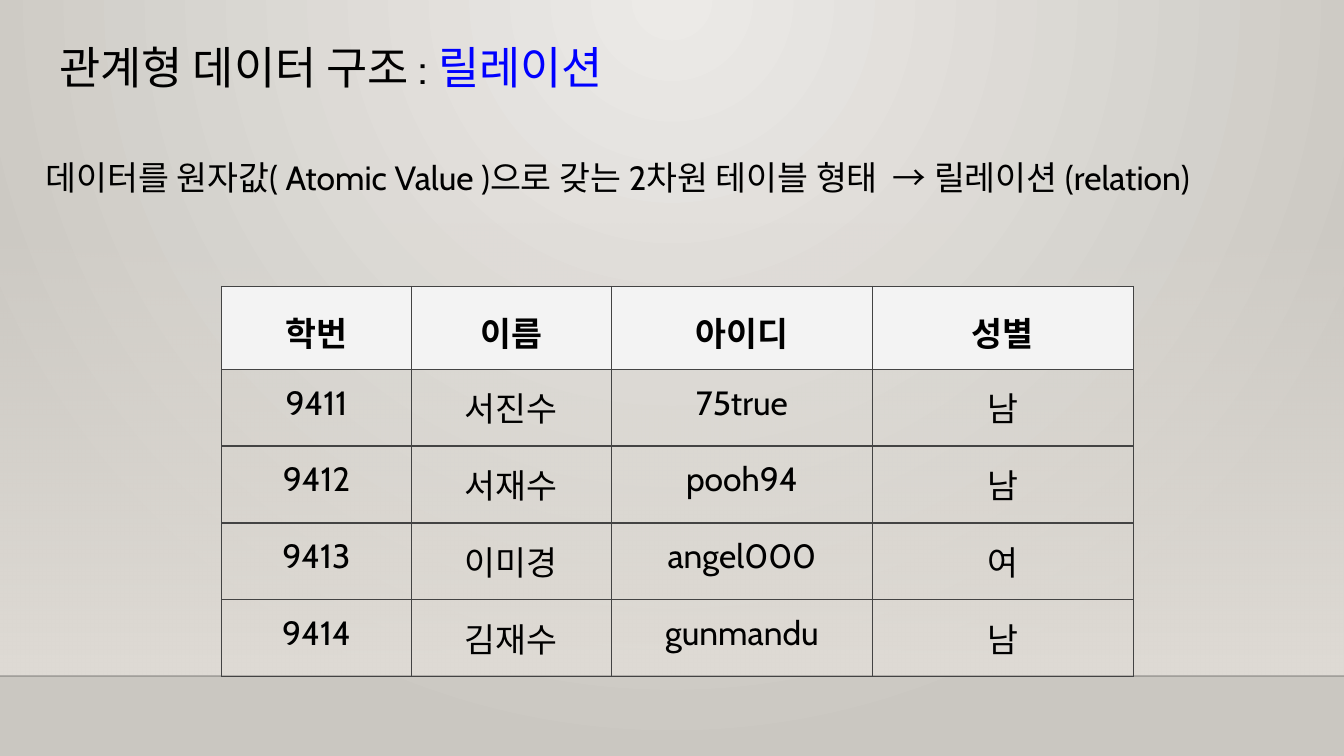
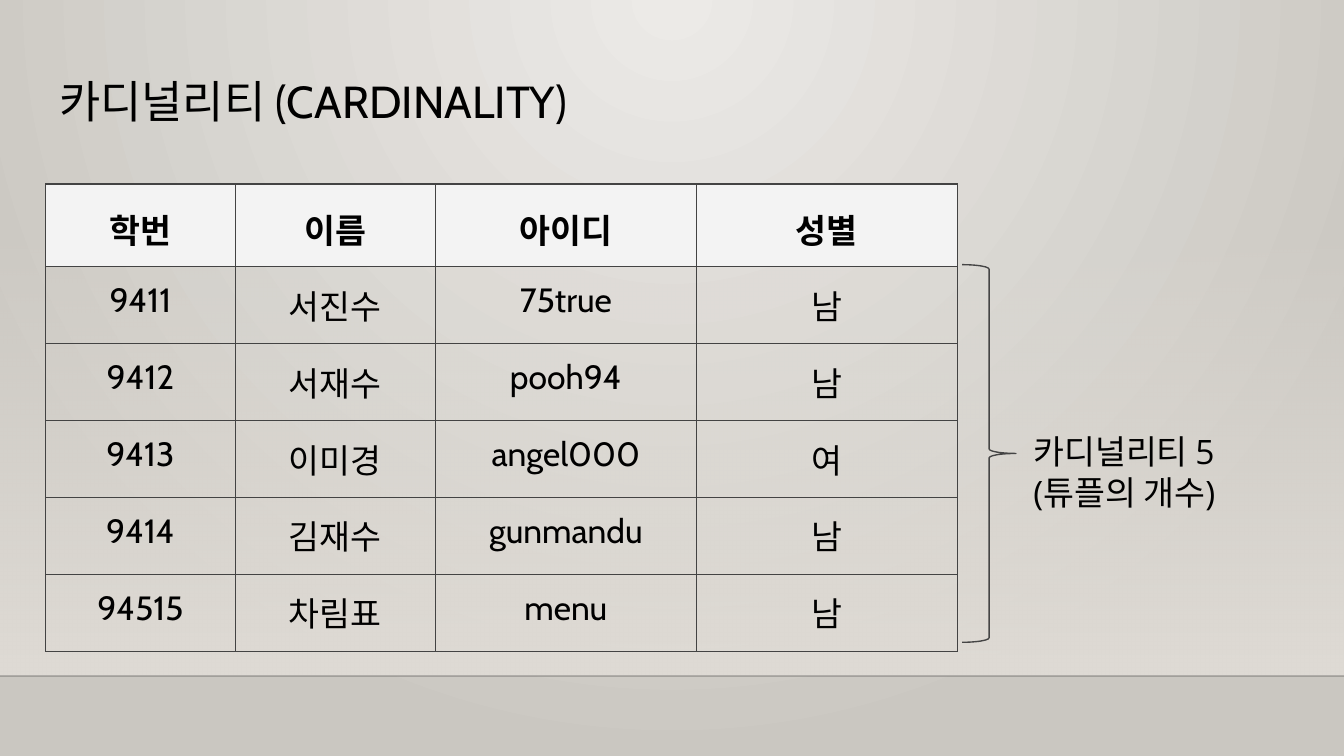
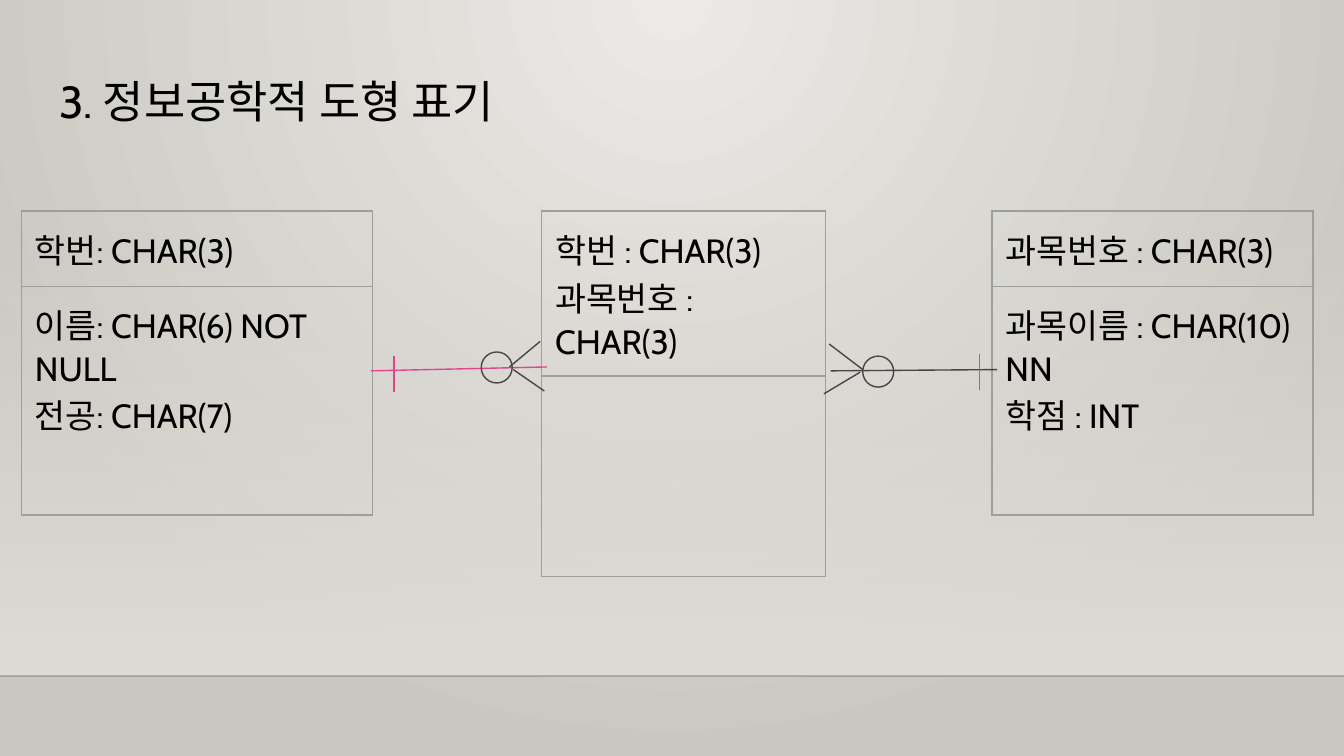
"""Build three slides on relations, cardinality and entity notation."""
from lxml import etree
from pptx import Presentation
from pptx.dml.color import RGBColor
from pptx.enum.shapes import MSO_CONNECTOR, MSO_SHAPE
from pptx.enum.text import MSO_ANCHOR, MSO_AUTO_SIZE, PP_ALIGN
from pptx.oxml.ns import qn
from pptx.util import Pt

STRAIGHT = MSO_CONNECTOR.STRAIGHT
RECTANGLE, CIRCLE, BRACE = MSO_SHAPE.RECTANGLE, MSO_SHAPE.OVAL, MSO_SHAPE.RIGHT_BRACE
TOP, NO_FIT = MSO_ANCHOR.TOP, MSO_AUTO_SIZE.NONE
LEFT, CENTER = PP_ALIGN.LEFT, PP_ALIGN.CENTER

BLACK = RGBColor(0, 0, 0)
BLUE = RGBColor(0, 0, 0xFF)
PINK = RGBColor(0xDE, 0x47, 0x8E)
DARK = RGBColor(0x45, 0x45, 0x45)
GRID = RGBColor(0x43, 0x43, 0x43)
ENTITY_EDGE = RGBColor(0x9E, 0x9E, 0x9E)
HEADER = RGBColor(0xF3, 0xF3, 0xF3)
GLOW = RGBColor(0xEC, 0xEA, 0xE7)
WALL = RGBColor(0xCA, 0xC7, 0xC1)
BAND = RGBColor(0xDF, 0xDB, 0xD5)
HORIZON = RGBColor(0, 0, 1)

BODY_FONT, NOTE_FONT = "Cabin", "Open Sans"
TITLE_SIZE, BODY_SIZE = 24, 18
INSET, THIN = 7.2, 0.75
WIDTH, HEIGHT, FLOOR = 720, 405, 362.2
TITLE_LEFT = 24.5

STUDENT_COLUMNS = (101.5, 107.3, 139.8, 139.8)
STUDENTS = [
    ("학번", "이름", "아이디", "성별"),
    ("9411", "서진수", "75true", "남"),
    ("9412", "서재수", "pooh94", "남"),
    ("9413", "이미경", "angel000", "여"),
    ("9414", "김재수", "gunmandu", "남"),
]
NEW_STUDENT = ("94515", "차림표", "menu", "남")
ENTITIES = [
    (11.5, 188, (35.3, 122.4), ["학번: CHAR(3)"],
     ["이름: CHAR(6) NOT NULL", "전공: CHAR(7)"]),
    (290.2, 152, (51.1, 107.3), ["학번 : CHAR(3)", "과목번호 : CHAR(3)"], []),
    (531.4, 172, (35.3, 122.4), ["과목번호 : CHAR(3)"],
     ["과목이름 : CHAR(10) NN", "학점 : INT"]),
]
RELATION_LINES = [
    (198.7, 198.7, 293, 196.6, PINK),
    (445, 198.7, 534.2, 198, DARK),
]
CROW_FEET = [
    (289.4, 182.9, 272.9, 196.6),
    (291.6, 209.5, 275, 198),
    (444.2, 184.3, 462.2, 198),
    (441.4, 211, 460.8, 199.4),
]
ZERO_MARKS = [(257.8, 188.6), (462.2, 190.8)]
ONE_MARKS = [(211, 190.8), (524.9, 189.4)]


class Slides:
    """Hold the shared style and the current page."""

    def __init__(self):
        self.deck = Presentation()
        self.deck.slide_width, self.deck.slide_height = Pt(WIDTH), Pt(HEIGHT)
        self.page = None

    def new_page(self, top, *spans):
        first = self.page is None
        self.page = self.deck.slides.add_slide(self.deck.slide_layouts[5])
        if first:
            self.backdrop()
        title = self.page.shapes.title
        title.left, title.top = Pt(TITLE_LEFT), Pt(top)
        title.width, title.height = Pt(671), Pt(55.4)
        self.set_text(title.text_frame, [spans], size=TITLE_SIZE, spacing=0.9)

    def backdrop(self):
        master = self.deck.slide_master
        self.gradient(master.background.fill, GLOW, WALL)
        wall = next(master._element.iter(qn("a:gradFill")))
        wall.remove(wall.find(qn("a:lin")))
        circle = etree.SubElement(wall, qn("a:path"), path="circle")
        etree.SubElement(circle, qn("a:fillToRect"),
                         l="43000", t="0", r="43000", b="100000")
        band = self.shape(RECTANGLE, 0, 119.5, WIDTH, FLOOR - 119.5)
        band.line.fill.background()
        self.gradient(band.fill, BAND, BAND)
        band.fill.gradient_angle = 270
        self.fade(next(band._element.iter(qn("a:gs"))), 0)
        horizon = self.line(0, FLOOR, WIDTH, FLOOR, HORIZON, 1)
        self.fade(horizon._element, 20)
        front = master.shapes[0]._element
        for item in (band, horizon):
            front.addprevious(item._element)

    def gradient(self, fill, *colors):
        fill.gradient()
        for stop, color in zip(fill.gradient_stops, colors):
            stop.color.rgb = color

    def fade(self, element, percent):
        for color in element.iter(qn("a:srgbClr")):
            etree.SubElement(color, qn("a:alpha"), val=str(percent * 1000))

    def set_text(self, frame, paragraphs, size=BODY_SIZE, font=BODY_FONT, spacing=1.0):
        frame.word_wrap, frame.auto_size = True, NO_FIT
        frame.vertical_anchor = TOP
        frame.margin_left = frame.margin_right = Pt(INSET)
        frame.margin_top = frame.margin_bottom = Pt(INSET)
        self.add_spans(frame, paragraphs, size, font, spacing, LEFT)

    def add_spans(self, frame, paragraphs, size, font, spacing, align, bold=False):
        for index, spans in enumerate(paragraphs):
            para = frame.add_paragraph() if index else frame.paragraphs[0]
            para.alignment, para.line_spacing = align, spacing
            for text, color in spans:
                span = para.add_run()
                span.text = text
                span.font.name, span.font.size = font, Pt(size)
                span.font.bold, span.font.color.rgb = bold, color

    def text(self, left, top, width, height, lines, font=BODY_FONT):
        box = self.page.shapes.add_textbox(Pt(left), Pt(top), Pt(width), Pt(height))
        self.set_text(box.text_frame, [[(line, BLACK)] for line in lines], font=font)

    def table(self, left, top, columns, heights, rows, edge, align=LEFT, header=False):
        frame = self.page.shapes.add_table(
            len(rows), len(columns), Pt(left), Pt(top),
            Pt(sum(columns)), Pt(sum(heights)))
        table = frame.table
        table.first_row = table.horz_banding = False
        for column, width in zip(table.columns, columns):
            column.width = Pt(width)
        for index, (row, height, values) in enumerate(zip(table.rows, heights, rows)):
            row.height = Pt(height)
            for cell, lines in zip(row.cells, values):
                self.cell(cell, lines, edge, align, header and index == 0)

    def cell(self, cell, lines, edge, align, heading):
        cell.margin_left = cell.margin_right = Pt(INSET)
        cell.margin_top = cell.margin_bottom = Pt(INSET)
        properties = cell._tc.get_or_add_tcPr()
        for side in ("lnL", "lnR", "lnT", "lnB"):
            border = etree.SubElement(properties, qn("a:" + side), w=str(Pt(THIN)))
            solid = etree.SubElement(border, qn("a:solidFill"))
            etree.SubElement(solid, qn("a:srgbClr"), val=str(edge))
        if heading:
            cell.fill.solid()
            cell.fill.fore_color.rgb = HEADER
        else:
            cell.fill.background()
        self.add_spans(cell.text_frame, [[(line, BLACK)] for line in lines],
                       BODY_SIZE, BODY_FONT, 1.15 if heading else 1.0, align, heading)

    def students(self, left, top, rows):
        heights = [43.2] + [41.2] * (len(rows) - 1)
        values = [[[value] for value in row] for row in rows]
        self.table(left, top, STUDENT_COLUMNS, heights, values, GRID, CENTER, True)

    def shape(self, kind, left, top, width, height):
        shape = self.page.shapes.add_shape(kind, Pt(left), Pt(top), Pt(width), Pt(height))
        shape.shadow.inherit = False
        shape.fill.background()
        shape.line.color.rgb, shape.line.width = DARK, Pt(THIN)
        return shape

    def line(self, x1, y1, x2, y2, color=DARK, width=THIN):
        line = self.page.shapes.add_connector(STRAIGHT, Pt(x1), Pt(y1), Pt(x2), Pt(y2))
        line.line.color.rgb, line.line.width = color, Pt(width)
        etree.SubElement(line._element.spPr, qn("a:effectLst"))
        return line


def main():
    slides = Slides()

    slides.new_page(17.3, ("관계형 데이터 구조 : ", BLACK), ("릴레이션", BLUE))
    slides.students(118.8, 153.4, STUDENTS)
    slides.text(17.3, 77, 691.2, 55.4, [
        "데이터를 원자값( Atomic Value )으로 갖는 2차원 테이블 형태  → 릴레이션 (relation)"])

    slides.new_page(35.3, ("카디널리티 (CARDINALITY)", BLACK))
    slides.students(TITLE_LEFT, 98.6, STUDENTS + [NEW_STUDENT])
    slides.shape(BRACE, 515.5, 141.8, 28.8, 202.3)
    slides.text(546.5, 223.9, 154.8, 27.4, ["카디널리티 5", "(튜플의 개수)"], NOTE_FONT)

    slides.new_page(35.3, ("3. 정보공학적 도형 표기", BLACK))
    for left, width, heights, keys, fields in ENTITIES:
        slides.table(left, 113, [width], heights, [[keys], [fields]], ENTITY_EDGE)
    for relation in RELATION_LINES:
        slides.line(*relation)
    for toe in CROW_FEET:
        slides.line(*toe)
    for left, top in ZERO_MARKS:
        slides.shape(CIRCLE, left, top, 16.6, 16.6)
    for x, top in ONE_MARKS:
        slides.line(x, top + 19.4, x, top, PINK)

    slides.deck.save("out.pptx")


if __name__ == "__main__":
    main()
